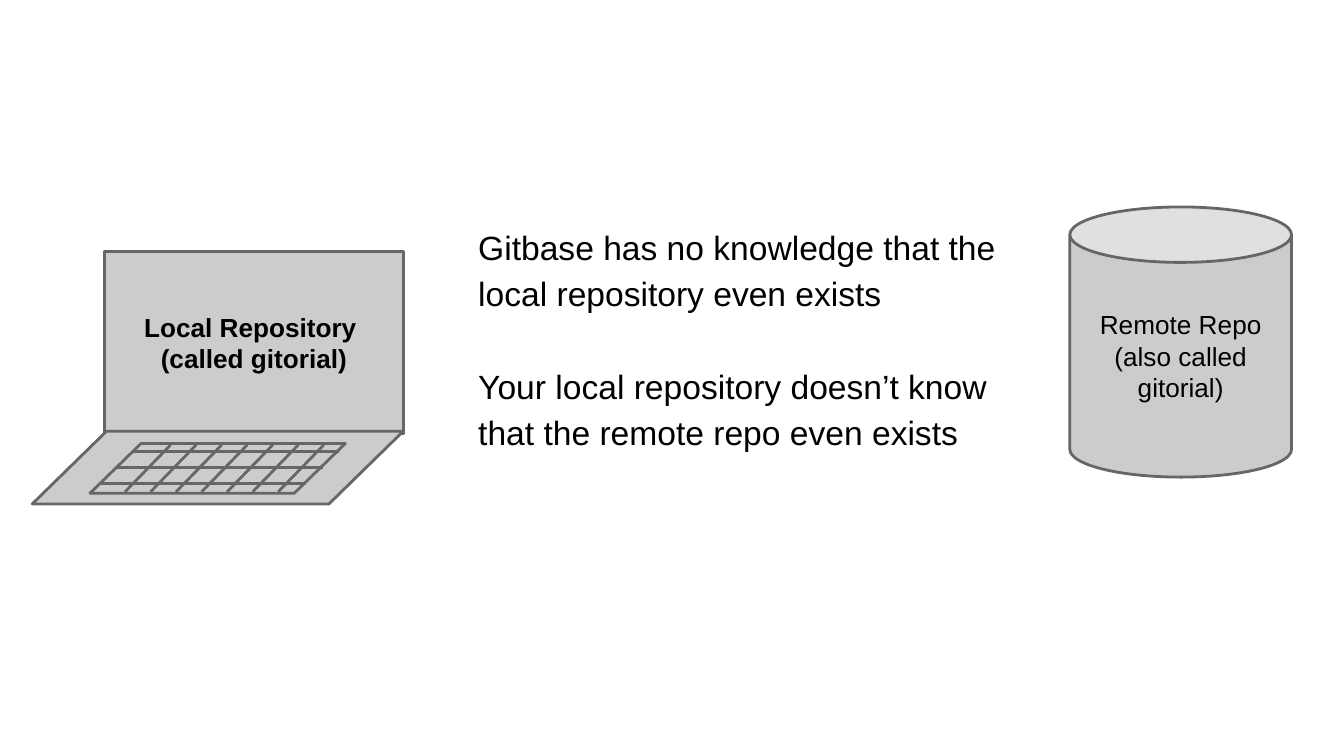
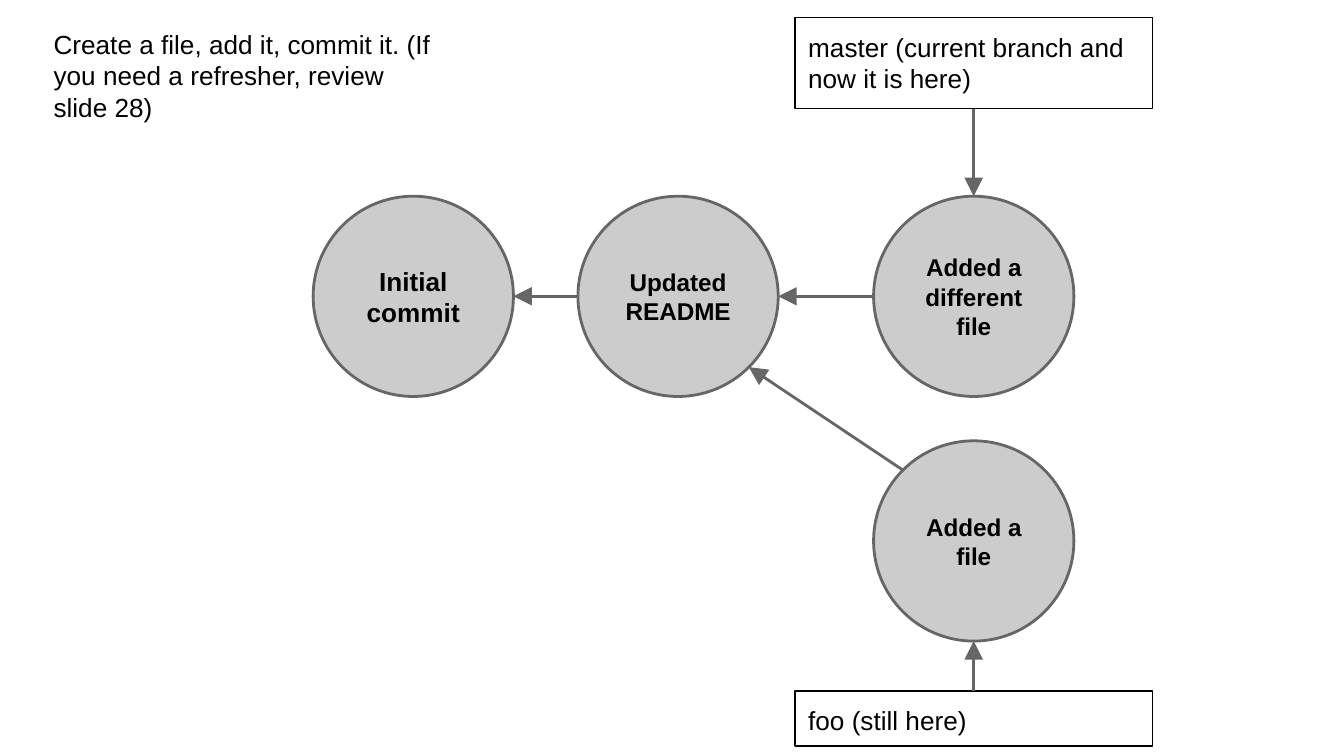
from dataclasses import dataclass

from lxml import etree
from pptx import Presentation
from pptx.dml.color import RGBColor
from pptx.enum import shapes, text
from pptx.oxml.ns import qn
from pptx.util import Inches, Pt

KIND = shapes.MSO_SHAPE
ALIGN = text.PP_ALIGN
ANCHOR = text.MSO_ANCHOR


@dataclass(frozen=True)
class Theme:
    font: str = "Arial"
    ink: RGBColor = RGBColor(0, 0, 0)
    fill: RGBColor = RGBColor(0xCC, 0xCC, 0xCC)
    outline: RGBColor = RGBColor(0x66, 0x66, 0x66)
    thick: float = 1.5
    thin: float = 0.75
    large: int = 18
    label: int = 14
    small: int = 13


THEME = Theme()


def write(sp, paragraphs, size, bold=False, align=ALIGN.LEFT,
          anchor=ANCHOR.TOP, spacing=None, gap=0):
    """Fill a shape with paragraphs; gap is the space after each but the last, in points."""
    tf = sp.text_frame
    tf.word_wrap = True
    tf.vertical_anchor = anchor
    tf.margin_left = tf.margin_right = tf.margin_top = tf.margin_bottom = Inches(0.1)
    for i, line in enumerate(paragraphs):
        p = tf.paragraphs[0] if i == 0 else tf.add_paragraph()
        p.text = line
        p.alignment = align
        p.font.name = THEME.font
        p.font.size = Pt(size)
        p.font.bold = bold
        p.font.color.rgb = THEME.ink
        if spacing:
            p.line_spacing = spacing
        if gap and i < len(paragraphs) - 1:
            p.space_after = Pt(gap)


def add_text(s, x, y, w, h, paragraphs, size, **style):
    sp = s.shapes.add_textbox(Inches(x), Inches(y), Inches(w), Inches(h))
    write(sp, paragraphs, size, **style)


def add_shape(s, kind, x, y, w, h):
    sp = s.shapes.add_shape(kind, Inches(x), Inches(y), Inches(w), Inches(h))
    sp.shadow.inherit = False
    sp.fill.solid()
    sp.fill.fore_color.rgb = THEME.fill
    sp.line.color.rgb = THEME.outline
    sp.line.width = Pt(THEME.thick)
    return sp


def add_labelled(s, kind, x, y, w, h, paragraphs, size=THEME.label, bold=False):
    sp = add_shape(s, kind, x, y, w, h)
    write(sp, paragraphs, size, bold, ALIGN.CENTER, ANCHOR.MIDDLE)
    return sp


def add_branch(s, x, y, w, h, label):
    sp = add_shape(s, KIND.RECTANGLE, x, y, w, h)
    sp.fill.background()
    sp.line.color.rgb = THEME.ink
    sp.line.width = Pt(THEME.thin)
    write(sp, [label], THEME.label)
    return sp


def add_line(s, x1, y1, x2, y2, arrow=False):
    cx = s.shapes.add_connector(shapes.MSO_CONNECTOR.STRAIGHT, Inches(x1),
                                Inches(y1), Inches(x2), Inches(y2))
    cx.line.color.rgb = THEME.outline
    cx.line.width = Pt(THEME.thick)
    if arrow:
        etree.SubElement(cx.line._get_or_add_ln(), qn("a:tailEnd"),
                         type="triangle", w="lg", len="lg")
    etree.SubElement(cx._element.spPr, qn("a:effectLst"))
    return cx


def add_laptop(s, paragraphs):
    add_labelled(s, KIND.RECTANGLE, 0.78, 1.87, 2.22, 1.36, paragraphs, bold=True)
    add_shape(s, KIND.FLOWCHART_DATA, 0.24, 3.21, 2.76, 0.54)
    add_shape(s, KIND.FLOWCHART_DATA, 0.67, 3.3, 1.9, 0.37)
    for row in range(3):
        x, y = 0.99 - 0.12 * row, 3.36 + 0.12 * row
        add_line(s, x, y, x + 1.53, y)
    for column in range(7):
        x = 0.93 + 0.19 * column
        add_line(s, x, 3.66, x + 0.34, 3.31)


def build_repositories(s):
    add_laptop(s, ["Local Repository ", "(called gitorial)"])
    add_text(s, 3.46, 1.54, 4.18, 1.86,
             ["Gitbase has no knowledge that the local repository even exists",
              "Your local repository doesn’t know that the remote repo even exists"],
             THEME.large, spacing=1.15, gap=25)
    can = add_labelled(s, KIND.CAN, 7.96, 1.54, 1.65, 2.01,
                       ["Remote Repo (also called gitorial)"])
    can.adjustments[0] = 0.25


def build_branches(s):
    size, top, low = 1.49, 1.46, 3.28
    first, second, third = 2.33, 4.3, 6.5
    middle, center = top + size / 2, third + size / 2
    commits = [
        (first, top, "Initial commit", THEME.label),
        (second, top, "Updated README", THEME.small),
        (third, top, "Added a different file", THEME.small),
        (third, low, "Added a file", THEME.small),
    ]
    for x, y, label, points in commits:
        add_labelled(s, KIND.OVAL, x, y, size, size, [label], points, bold=True)

    for start, end in ((second, first), (third, second)):
        add_line(s, start, middle, end + size, middle, arrow=True)
    inset = size * (1 - 0.5 ** 0.5) / 2  # where a circle meets its box's diagonal
    add_line(s, third + inset, low + inset,
             second + size - inset, top + size - inset, arrow=True)

    width = 2.66
    left = center - width / 2
    master = add_branch(s, left, 0.13, width, 0.68,
                        "master (current branch and now it is here)")
    foo = add_branch(s, left, 5.14, width, 0.41, "foo (still here)")
    add_line(s, center, 0.81, center, top, arrow=True).begin_connect(master, 2)
    add_line(s, center, 5.14, center, low + size, arrow=True).begin_connect(foo, 0)

    add_text(s, 0.3, 0.11, 3.05, 0.89,
             ["Create a file, add it, commit it. (If you need a refresher, review slide 28)"],
             THEME.label)


def main():
    prs = Presentation()
    prs.slide_width = Inches(10)
    prs.slide_height = prs.slide_width * 9 // 16
    blank = prs.slide_layouts[6]
    for build in (build_repositories, build_branches):
        build(prs.slides.add_slide(blank))
    prs.save("out.pptx")


if __name__ == "__main__":
    main()
